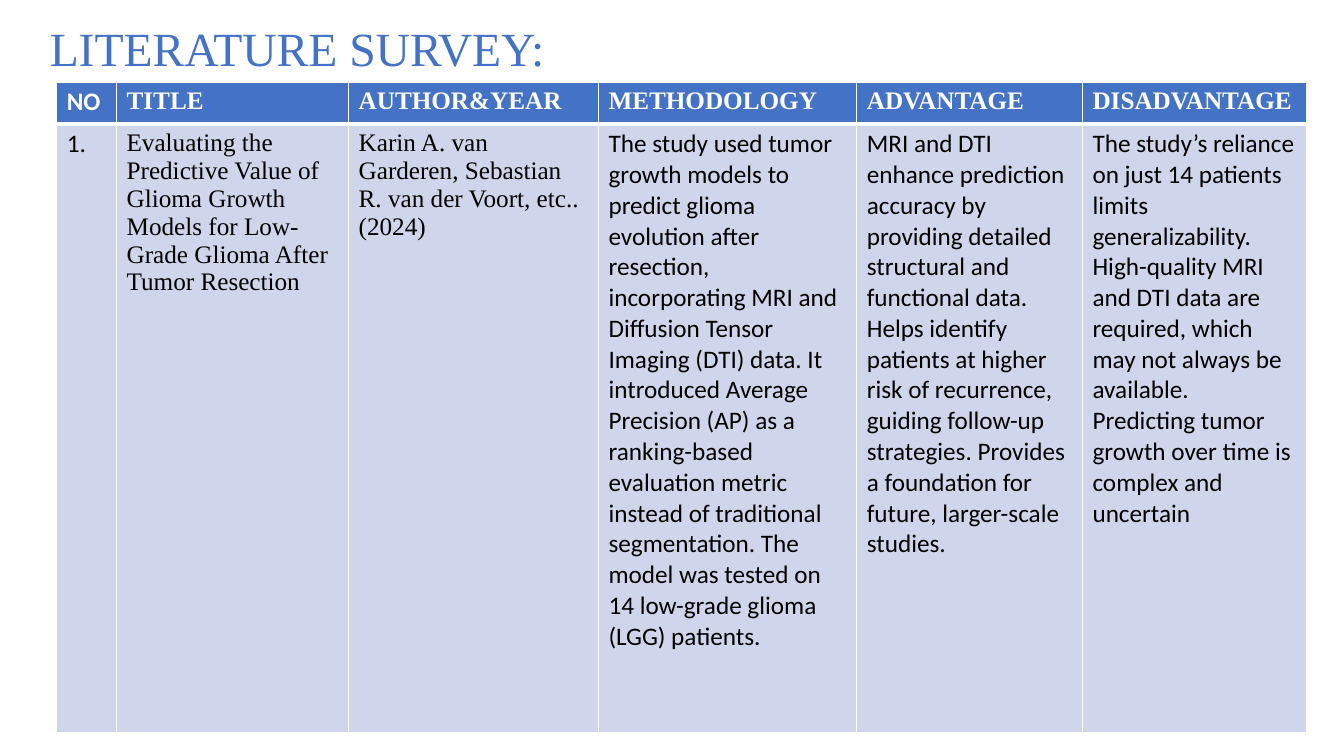
from lxml.etree import SubElement
from pptx import Presentation
from pptx.dml.color import RGBColor
from pptx.enum.text import MSO_ANCHOR
from pptx.oxml import parse_xml
from pptx.oxml.ns import nsdecls
from pptx.util import Pt

PX = 9525  # 96 px to the inch
COLORS = {"blue": "4472C4", "pale": "CFD5EA", "white": "FFFFFF", "black": "000000"}
SERIF, SANS = "Times New Roman", "Calibri"


def write(paragraph, wording, size, font, color, bold=False):
    run = paragraph.add_run()
    run.text = wording
    run.font.color.rgb = RGBColor.from_string(COLORS[color])
    for key, value in {"size": Pt(size), "name": font, "bold": bold}.items():
        setattr(run.font, key, value)


def add_borders(cell, widths):
    properties = cell._tc.get_or_add_tcPr()
    for position, (side, points) in enumerate(widths.items()):
        line = parse_xml(
            f'<a:ln{side} {nsdecls("a")} w="{Pt(points)}"><a:solidFill>'
            f'<a:srgbClr val="{COLORS["white"]}"/></a:solidFill></a:ln{side}>'
        )
        properties.insert(position, line)


deck = Presentation()
deck.slide_width, deck.slide_height = 1280 * PX, 720 * PX
slide = deck.slides.add_slide(deck.slide_layouts[6])

# Survey content: heading, heading font, body paragraphs, body font, width
survey = [
    ("NO", SANS, ["1."], SANS, 57),
    ("TITLE", SERIF, [
        "Evaluating the Predictive Value of Glioma Growth Models for "
        "Low-Grade Glioma After Tumor Resection"], SERIF, 221),
    ("AUTHOR&YEAR", SERIF, [
        "Karin A. van",
        "Garderen, Sebastian R. van der Voort, etc..(2024)"], SERIF, 238),
    ("METHODOLOGY", SERIF, [
        "The study used tumor growth models to predict glioma evolution after "
        "resection, incorporating MRI and Diffusion Tensor Imaging (DTI) data. "
        "It introduced Average Precision (AP) as a ranking-based evaluation "
        "metric instead of traditional segmentation. The model was tested on "
        "14 low-grade glioma (LGG) patients."], SANS, 246),
    ("ADVANTAGE", SERIF, [
        "MRI and DTI enhance prediction accuracy by providing detailed "
        "structural and functional data. Helps identify patients at higher "
        "risk of recurrence, guiding follow-up strategies. Provides a "
        "foundation for future, larger-scale studies."], SANS, 215),
    ("DISADVANTAGE", SERIF, [
        "The study’s reliance on just 14 patients limits generalizability. "
        "High-quality MRI and DTI data are required, which may not always be "
        "available. Predicting tumor growth over time is complex and "
        "uncertain"], SANS, 213),
]
row_heights = [40, 580]

# Survey table
table_width = sum(column[-1] for column in survey)
survey_table = slide.shapes.add_table(
    len(row_heights), len(survey),
    54 * PX, 78 * PX, table_width * PX, sum(row_heights) * PX).table
for row, height in zip(survey_table.rows, row_heights):
    row.height = height * PX

for index, (heading, heading_font, body, body_font, width) in enumerate(survey):
    survey_table.columns[index].width = width * PX
    rows = [
        ([heading], heading_font, "white", True, "blue", {"L": 1, "R": 1, "T": 1, "B": 3}),
        (body, body_font, "black", False, "pale", {"L": 1, "R": 1, "T": 3, "B": 1}),
    ]
    for row_index, (paragraphs, font, color, bold, fill, widths) in enumerate(rows):
        cell = survey_table.cell(row_index, index)
        cell.fill.solid()
        cell.fill.fore_color.rgb = RGBColor.from_string(COLORS[fill])
        add_borders(cell, widths)
        for number, wording in enumerate(paragraphs):
            frame = cell.text_frame
            paragraph = frame.add_paragraph() if number else frame.paragraphs[0]
            write(paragraph, wording, 18, font, color, bold)

# Slide title
title = slide.shapes.add_textbox(38 * PX, 13 * PX, 588 * PX, 64 * PX).text_frame
title.word_wrap = True
title.vertical_anchor = MSO_ANCHOR.BOTTOM
write(title.paragraphs[0], "LITERATURE SURVEY:", 34, SERIF, "blue")

deck.save("out.pptx")
